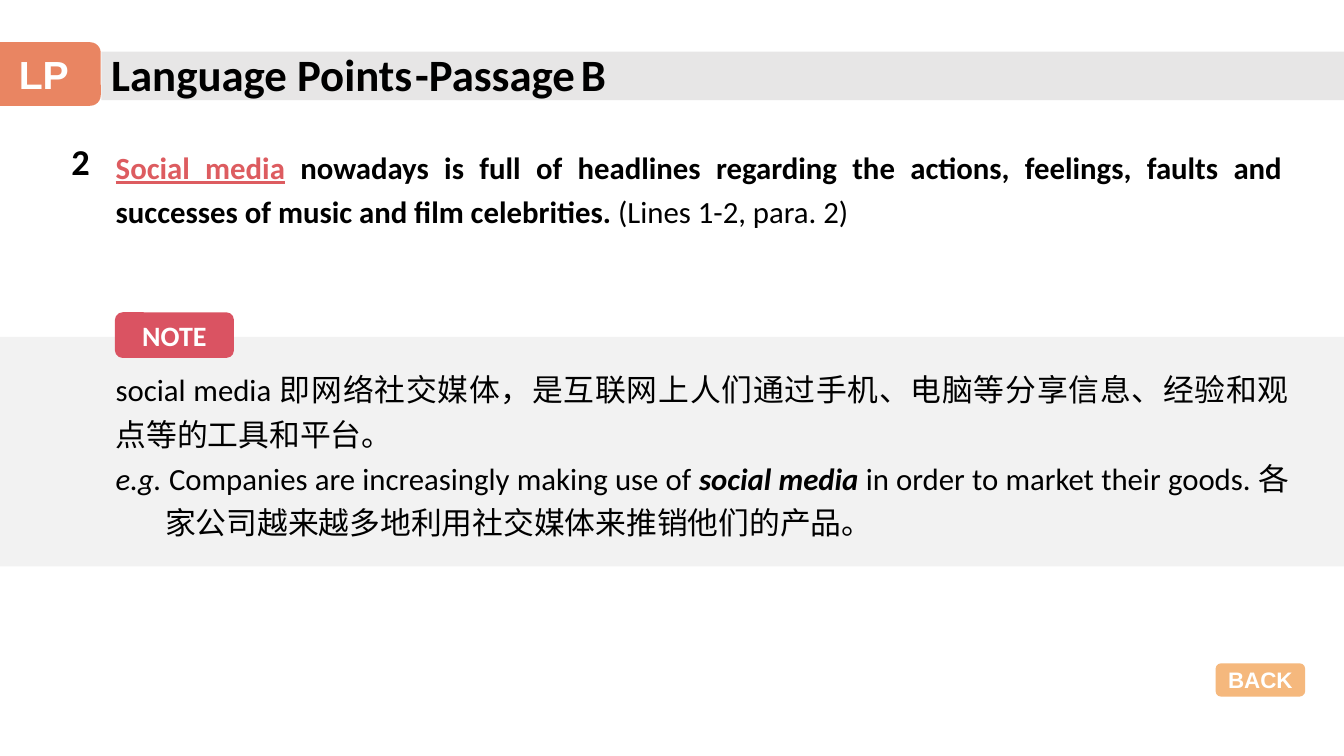
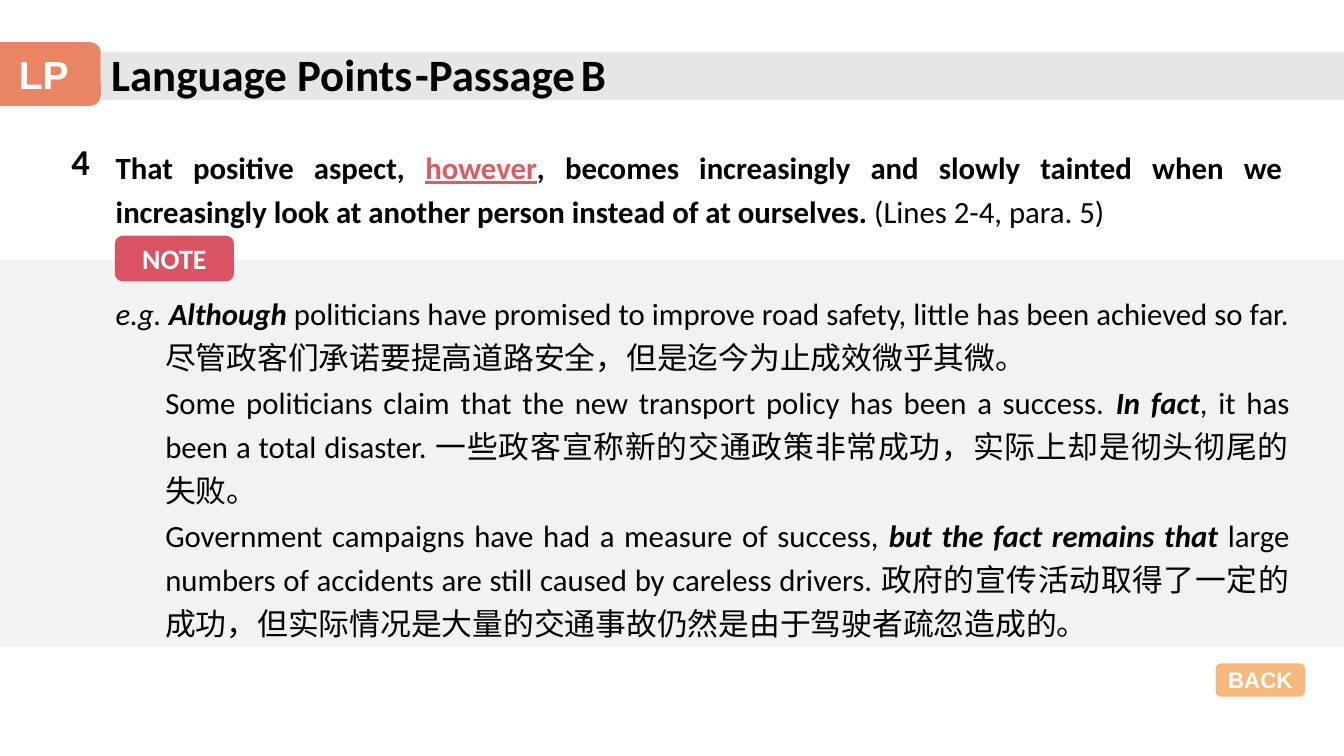
from lxml import etree
from pptx import Presentation
from pptx.dml.color import RGBColor
from pptx.enum import shapes, text
from pptx.oxml.ns import qn
from pptx.util import Pt

# Colours
BLACK = RGBColor(0, 0, 0)
WHITE = RGBColor(255, 255, 255)
BAND = RGBColor(0xE7, 0xE6, 0xE6)
PANEL = RGBColor(0xF2, 0xF2, 0xF2)
CORAL = RGBColor(0xE9, 0x85, 0x62)
ROSE = RGBColor(0xDA, 0x53, 0x62)
RED = RGBColor(0xDD, 0x5C, 0x60)
AMBER = RGBColor(0xF1, 0x9B, 0x48)

# Text formats
BASE = {"name": "Calibri", "size": Pt(22), "color": BLACK}
PLAIN = {}
BOLD = {"bold": True}
ITAL = {"italic": True}
STRONG = {"bold": True, "italic": True}
KEY = {"bold": True, "underline": True, "color": RED}
TITLE = {"bold": True, "size": Pt(32)}
GAP = {"size": Pt(18)}
NUM = {"bold": True, "size": Pt(26)}
HANG, INSET, FLUSH = (35.4, -35.4), (35.4, 0), (0, 0)

# Content: each paragraph is (indents, runs)
POINTS = [
    {
        "num": "2", "top": 240.6, "height": 164,
        "quote": [
            ("Social media", KEY),
            (" nowadays is full of headlines regarding the actions, feelings, "
             "faults and successes of music and film celebrities. ", BOLD),
            ("(Lines 1-2, para. 2)", PLAIN)],
        "note": [
            (FLUSH, [
                ("social media 即网络社交媒体，是互联网上人们通过手机、电脑等"
                 "分享信息、经验和观点等的工具和平台。", PLAIN)]),
            (HANG, [
                ("e.g. ", ITAL),
                ("Companies are increasingly making use of ", PLAIN),
                ("social media", STRONG),
                (" in order to market their goods. "
                 "各家公司越来越多地利用社交媒体来推销他们的产品。", PLAIN)])],
    },
    {
        "num": "4", "top": 185.9, "height": 276.4,
        "quote": [
            ("That positive aspect, ", BOLD),
            ("however", KEY),
            (", becomes increasingly and slowly tainted when we increasingly "
             "look at another person instead of at ourselves. ", BOLD),
            ("(Lines 2-4, para. 5)", PLAIN)],
        "note": [
            (HANG, [
                ("e.g. ", ITAL),
                ("Although", STRONG),
                (" politicians have promised to improve road safety, little "
                 "has been achieved so far. "
                 "尽管政客们承诺要提高道路安全，但是迄今为止成效微乎其微。", PLAIN)]),
            (INSET, [
                ("Some politicians claim that the new transport policy has "
                 "been a success. ", PLAIN),
                ("In fact", STRONG),
                (", it has been a total disaster. 一些政客宣称新的交通政策"
                 "非常成功，实际上却是彻头彻尾的失败。", PLAIN)]),
            (INSET, [
                ("Government campaigns have had a measure of success, ", PLAIN),
                ("but the fact remains that", STRONG),
                (" large numbers of accidents are still caused by careless "
                 "drivers. 政府的宣传活动取得了一定的成功，但实际情况是大量的"
                 "交通事故仍然是由于驾驶者疏忽造成的。", PLAIN)])],
    },
]

WIDE, HIGH = 960, 540
LEFT = 75.6  # shared left edge of quote and note


def add_run(para, words, form):
    run = para.add_run()
    run.text = words
    for key, val in {**BASE, **form}.items():
        if key == "color":
            run.font.color.rgb = val
        else:
            setattr(run.font, key, val)


def add_text(slide, box, paras, body=False):
    frame = slide.shapes.add_textbox(*map(Pt, box)).text_frame
    frame.word_wrap = True
    frame.auto_size = text.MSO_AUTO_SIZE.SHAPE_TO_FIT_TEXT
    for i, (dent, runs) in enumerate(paras):
        para = frame.add_paragraph() if i else frame.paragraphs[0]
        if body:
            para.alignment = text.PP_ALIGN.JUSTIFY
            para.line_spacing = 1.2
            props = para._p.get_or_add_pPr()
            for key, val in zip(("marL", "indent"), dent):
                props.set(key, str(Pt(val)))
        for words, form in runs:
            add_run(para, words, form)


def add_block(slide, box, fill, kind="RECTANGLE", alpha=None):
    block = slide.shapes.add_shape(
        getattr(shapes.MSO_SHAPE, kind), *map(Pt, box))
    block.shadow.inherit = False
    block.line.fill.background()
    block.fill.solid()
    block.fill.fore_color.rgb = fill
    if alpha:
        tone = block.fill._xPr.find(".//" + qn("a:srgbClr"))
        etree.SubElement(tone, qn("a:alpha")).set("val", str(alpha * 1000))
    return block


def add_tag(slide, box, fill, words, size, font, alpha=None):
    frame = add_block(slide, box, fill, "ROUNDED_RECTANGLE", alpha).text_frame
    frame.word_wrap = False
    frame.vertical_anchor = text.MSO_ANCHOR.MIDDLE
    para = frame.paragraphs[0]
    para.alignment = text.PP_ALIGN.CENTER
    add_run(para, words, {"name": font, "size": Pt(size),
                          "bold": True, "color": WHITE})


def add_frame(slide):
    # Title band, section tag and back button
    add_block(slide, (72.4, 36.9, WIDE - 72.4, 34.6), BAND)
    add_tag(slide, (-9.4, 30.2, 81.4, 45.4), CORAL, "LP", 28, "Arial")
    add_text(slide, (72.4, 29.5, 349, 46),
             [(FLUSH, [("Language Points", TITLE)])])
    add_text(slide, (289.4, 29.5, 178, 46),
             [(FLUSH, [("-Passage", TITLE), (" ", GAP), ("B", TITLE)])])
    add_tag(slide, (868.3, 473.8, 64, 23.8), AMBER, "BACK", 16, "Arial", 71)


def add_point(slide, point):
    # Numbered quote
    add_text(slide, (44, 95.8, 45.4, 39), [(FLUSH, [(point["num"], NUM)])])
    add_text(slide, (LEFT, 97.2, 847.4, 69), [(FLUSH, point["quote"])], True)
    # Note panel, its text and its tag
    top, height = point["top"], point["height"]
    add_block(slide, (0, top, WIDE, height), PANEL)
    add_text(slide, (LEFT, top + 15.7, 852.5, height - 31.4),
             point["note"], True)
    add_tag(slide, (82.1, top - 17.5, 85, 32.6), ROSE, "NOTE", 20, "Calibri")


def main():
    deck = Presentation()
    deck.slide_width, deck.slide_height = Pt(WIDE), Pt(HIGH)
    for point in POINTS:
        slide = deck.slides.add_slide(deck.slide_layouts[6])
        add_frame(slide)
        add_point(slide, point)
    deck.save("out.pptx")


if __name__ == "__main__":
    main()
